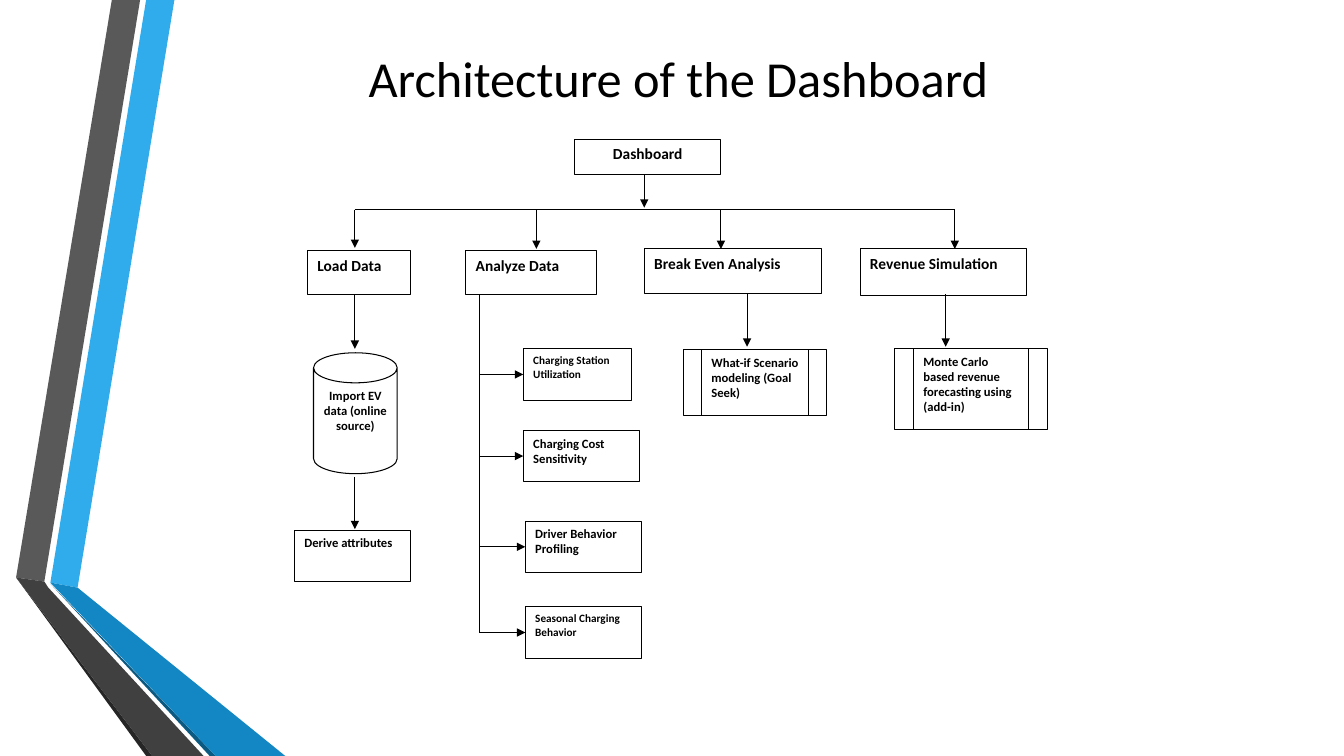
"""Build the dashboard architecture slide: a ribbon at the left and a tree of boxes."""
from lxml import etree
from pptx import Presentation
from pptx.dml.color import RGBColor
from pptx.enum import shapes, text
from pptx.oxml import ns
from pptx.util import Inches, Pt

BLACK = RGBColor(0x00, 0x00, 0x00)
WHITE = RGBColor(0xFF, 0xFF, 0xFF)
SKY = RGBColor(0x30, 0xAC, 0xEC)
BLUE = RGBColor(0x12, 0x87, 0xC3)
NAVY = RGBColor(0x0C, 0x5A, 0x82)
GREY = RGBColor(0x59, 0x59, 0x59)
DARK_GREY = RGBColor(0x40, 0x40, 0x40)
CHARCOAL = RGBColor(0x26, 0x26, 0x26)

FONT = "Calibri"
TITLE = "Architecture of the Dashboard"
RECTANGLE = shapes.MSO_SHAPE.RECTANGLE
PROCESS = shapes.MSO_SHAPE.FLOWCHART_PREDEFINED_PROCESS
CAN = shapes.MSO_SHAPE.CAN
LEFT, CENTER = text.PP_ALIGN.LEFT, text.PP_ALIGN.CENTER

RIBBONS = [
    (SKY, [(0.5, 5.78), (0.77, 5.83), (1.73, 0), (1.45, 0)]),
    (GREY, [(1.39, 0), (1.11, 0), (0.16, 5.73), (0.44, 5.77)]),
    (CHARCOAL, [(0.16, 5.73), (1.45, 7.5), (1.51, 7.5)]),
    (NAVY, [(0.5, 5.79), (2.08, 7.5), (2.14, 7.5)]),
    (BLUE, [(0.5, 5.78), (2.14, 7.5), (2.83, 7.5), (0.77, 5.83)]),
    (DARK_GREY, [(2.02, 7.5), (0.48, 5.83), (0.44, 5.77), (0.16, 5.73), (1.51, 7.5)]),
]

BOXES = [
    ("Dashboard", RECTANGLE, (5.7, 1.38, 1.45, 0.35), 11, CENTER),
    ("Load Data", RECTANGLE, (3.05, 2.49, 1.02, 0.43), 11, LEFT),
    ("Analyze Data", RECTANGLE, (4.62, 2.49, 1.3, 0.43), 11, LEFT),
    ("Break Even Analysis", RECTANGLE, (6.39, 2.47, 1.76, 0.44), 11, LEFT),
    ("Revenue Simulation", RECTANGLE, (8.53, 2.47, 1.65, 0.46), 11, LEFT),
    ("Import EV data (online source)", CAN, (3.11, 3.5, 0.83, 1.2), 9, CENTER),
    ("Derive attributes", RECTANGLE, (2.92, 5.26, 1.15, 0.51), 9, LEFT),
    ("What-if Scenario modeling (Goal Seek)", PROCESS, (6.78, 3.47, 1.42, 0.65), 9, LEFT),
    ("Monte Carlo based revenue forecasting using (add-in)", PROCESS,
     (8.87, 3.46, 1.52, 0.8), 9, LEFT),
]
ANALYSES = [
    ("Charging Station Utilization", RECTANGLE, (5.19, 3.46, 1.07, 0.51), 8, LEFT),
    ("Charging Cost Sensitivity", RECTANGLE, (5.19, 4.27, 1.15, 0.51), 9, LEFT),
    ("Driver Behavior Profiling", RECTANGLE, (5.21, 5.17, 1.15, 0.51), 9, LEFT),
    ("Seasonal Charging Behavior", RECTANGLE, (5.21, 6.02, 1.15, 0.51), 8, LEFT),
]

BUS_Y = 2.08
BRANCHES = [(3.52, 2.46), (5.32, 2.47), (7.15, 2.47), (9.47, 2.47)]
DOWN_ARROWS = [
    (6.39, 1.74, 2.06), (3.52, 2.93, 3.46), (3.52, 4.73, 5.25),
    (7.41, 2.92, 3.44), (9.38, 2.92, 3.44),
]
TRUNK_X, TRUNK_TOP = 4.76, 2.92


def add_ribbon(slide, color, points):
    corners = [(Inches(x), Inches(y)) for x, y in points]
    builder = slide.shapes.build_freeform(*corners[0])
    builder.add_line_segments(corners[1:], close=True)
    ribbon = builder.convert_to_shape()
    ribbon.shadow.inherit = False
    ribbon.fill.solid()
    ribbon.fill.fore_color.rgb = color
    ribbon.line.fill.background()


def write(shape, words, size, align, bold):
    shape.text_frame.word_wrap = True
    paragraph = shape.text_frame.paragraphs[0]
    paragraph.text = words
    paragraph.alignment = align
    paragraph.font.name = FONT
    paragraph.font.size = Pt(size)
    paragraph.font.bold = bold
    paragraph.font.color.rgb = BLACK


def add_box(slide, words, kind, place, size, align):
    box = slide.shapes.add_shape(kind, *map(Inches, place))
    box.shadow.inherit = False
    box.fill.solid()
    box.fill.fore_color.rgb = WHITE
    box.line.color.rgb = BLACK
    box.line.width = Pt(0.75)
    if kind == CAN:
        box.adjustments[0] = 0.36
    box.text_frame.vertical_anchor = text.MSO_ANCHOR.TOP
    write(box, words, size, align, True)
    return box


def add_line(slide, start, end, arrow=True):
    line = slide.shapes.add_connector(
        shapes.MSO_CONNECTOR.STRAIGHT, *map(Inches, start + end))
    line.line.color.rgb = BLACK
    line.line.width = Pt(0.75)
    if arrow:
        etree.SubElement(line.line._get_or_add_ln(), ns.qn("a:tailEnd"), type="triangle")
    etree.SubElement(line._element.spPr, ns.qn("a:effectLst"))
    return line


def main():
    presentation = Presentation()
    presentation.slide_width, presentation.slide_height = Inches(13.33), Inches(7.5)
    slide = presentation.slides.add_slide(presentation.slide_layouts[6])

    for color, points in RIBBONS:
        add_ribbon(slide, color, points)

    title = slide.shapes.add_textbox(*map(Inches, (0.92, 0.4, 11.62, 0.73)))
    title.text_frame.vertical_anchor = text.MSO_ANCHOR.MIDDLE
    write(title, TITLE, 36, CENTER, False)

    for box in BOXES:
        add_box(slide, *box)

    add_line(slide, (BRANCHES[0][0], BUS_Y), (BRANCHES[-1][0], BUS_Y), arrow=False)
    branch_arrows = [(x, BUS_Y, bottom) for x, bottom in BRANCHES]
    for x, top, bottom in branch_arrows + DOWN_ARROWS:
        add_line(slide, (x, top), (x, bottom))

    for analysis in ANALYSES:
        left, top, width, height = analysis[2]
        middle = top + height / 2
        box = add_box(slide, *analysis)
        add_line(slide, (TRUNK_X, middle), (left, middle)).end_connect(box, 1)
    add_line(slide, (TRUNK_X, TRUNK_TOP), (TRUNK_X, middle), arrow=False)

    presentation.save("out.pptx")


if __name__ == "__main__":
    main()
